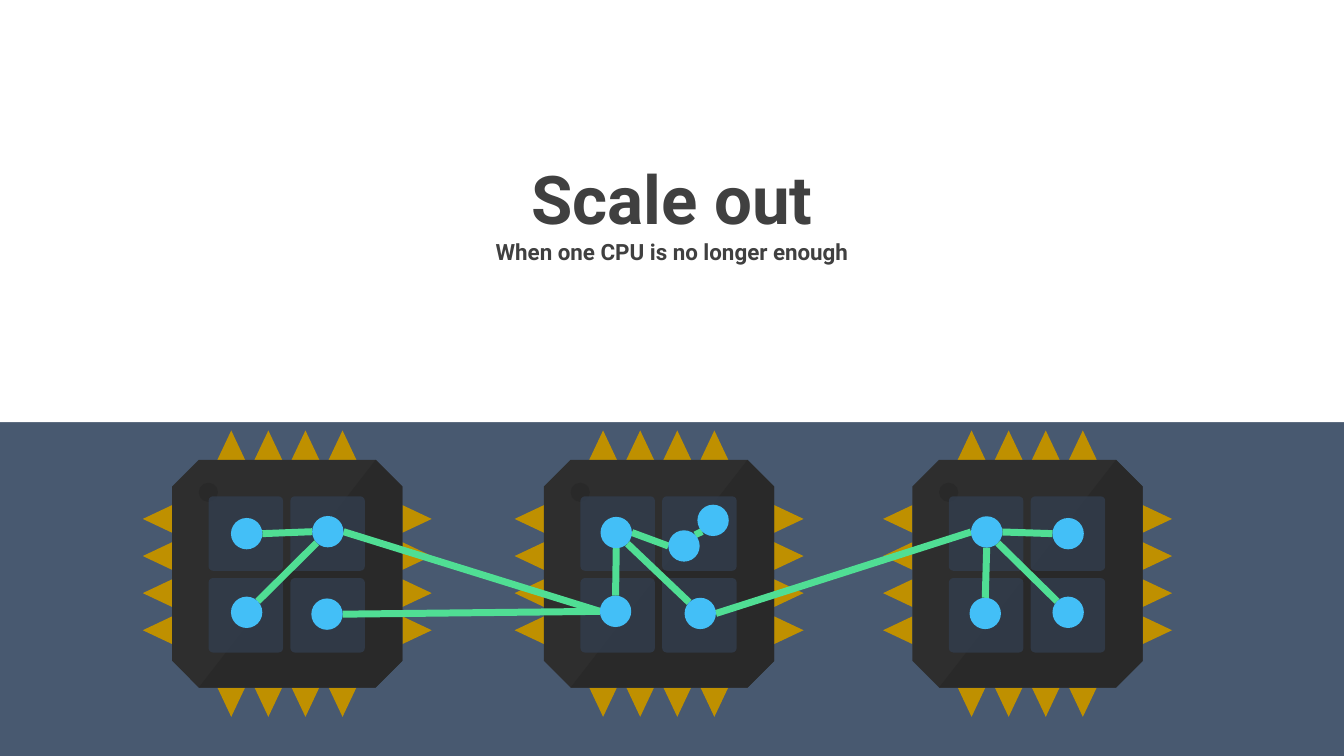
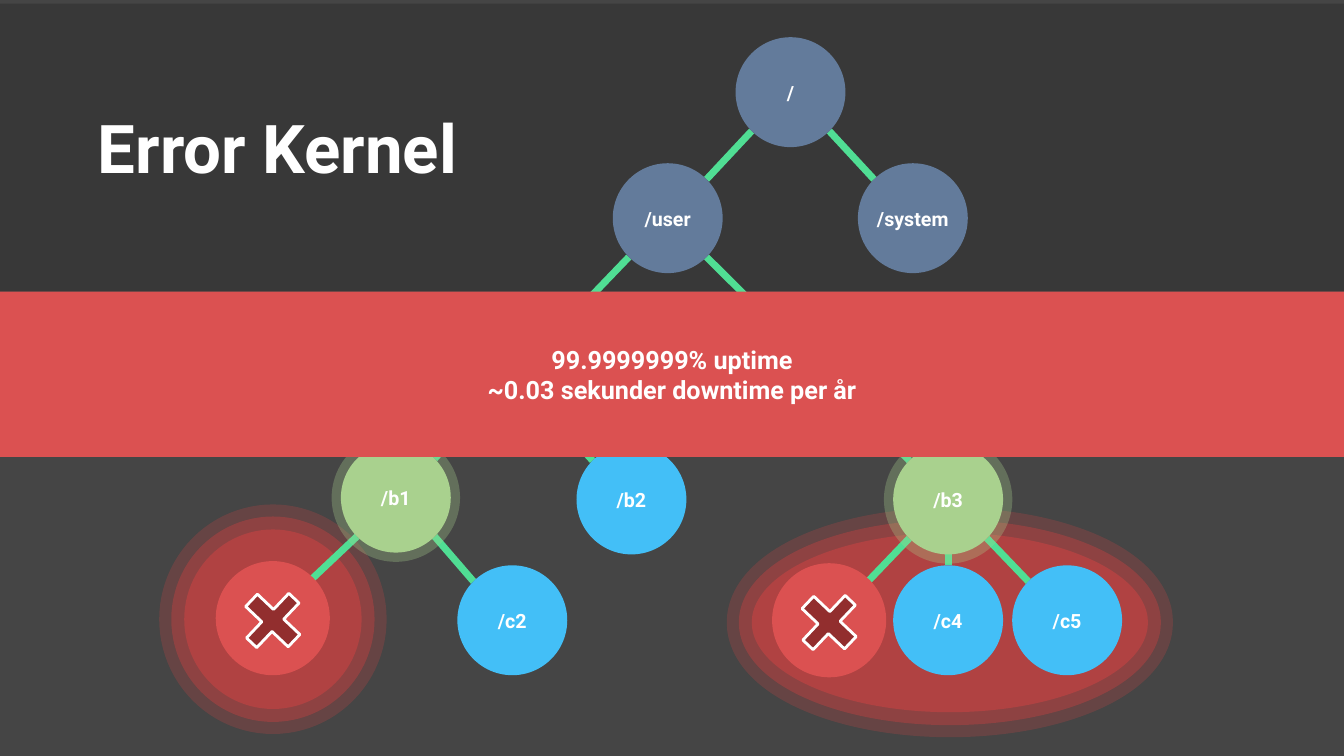
from dataclasses import dataclass
from math import sqrt
from typing import NamedTuple, Optional

from lxml.etree import SubElement
from pptx import Presentation
from pptx.dml.color import RGBColor
from pptx.enum.shapes import MSO_CONNECTOR as Connector, MSO_SHAPE as Preset
from pptx.enum.text import MSO_ANCHOR as Anchor, PP_ALIGN as Align
from pptx.oxml.ns import qn
from pptx.util import Pt

# Shared look
WIDTH, HEIGHT = 960, 540
WHITE, INK, SLATE, CHARCOAL = "FFFFFF", "404040", "485970", "454545"
GREEN, BLUE, STEEL, LIME = "50DE94", "43BFF7", "637B9B", "A9D18E"
RED, DARK_RED, CROSS_RED = "DB5151", "B04242", "922E2E"
GOLD, CHIP, SHADE, CORE = "BF9000", "2E2E2E", "292929", "333F50"
EDGE_WIDTH = 5
BASE_FONT = {"name": "Roboto", "bold": True}
TITLE = {**BASE_FONT, "size": Pt(48)}
SUBTITLE = {**BASE_FONT, "size": Pt(16)}
BANNER = {**BASE_FONT, "size": Pt(18)}
LABEL = {**BASE_FONT, "size": Pt(14)}

DIAGONAL = sqrt(0.5)
SIDES = {
    "N": (0, -1), "S": (0, 1), "W": (-1, 0), "E": (1, 0),
    "NW": (-DIAGONAL, -DIAGONAL), "NE": (DIAGONAL, -DIAGONAL),
    "SW": (-DIAGONAL, DIAGONAL), "SE": (DIAGONAL, DIAGONAL),
}


class Box(NamedTuple):
    left: float
    top: float
    width: float
    height: float


class Outline(NamedTuple):
    color: str
    width: float
    opacity: int = 100


class Span(NamedTuple):
    text: str
    style: dict


class Edge(NamedTuple):
    start: str
    start_side: str
    end: str
    end_side: str


@dataclass
class Node:
    left: float
    top: float
    size: float

    @property
    def box(self) -> Box:
        return Box(self.left, self.top, self.size, self.size)

    def site(self, side: str) -> tuple:
        """Point on the circle in a compass direction."""
        radius = self.size / 2
        across, down = SIDES[side]
        return (Pt(self.left + radius + radius * across),
                Pt(self.top + radius + radius * down))


# Drawing helpers
def rgb(color: str) -> RGBColor:
    return RGBColor.from_string(color)


def paint(fill, parent, color: str, opacity: int = 100) -> None:
    fill.solid()
    fill.fore_color.rgb = rgb(color)
    if opacity < 100:
        tint = parent.find(qn("a:solidFill"))[0]
        SubElement(tint, qn("a:alpha")).set("val", str(opacity * 1000))


def dress(shape, fill: Optional[str], opacity: int = 100,
          outline: Optional[Outline] = None) -> None:
    shape.shadow.inherit = False
    properties = shape._element.spPr
    if fill:
        paint(shape.fill, properties, fill, opacity)
    else:
        shape.fill.background()
    if outline:
        shape.line.width = Pt(outline.width)
        paint(shape.line.fill, properties.find(qn("a:ln")), outline.color, outline.opacity)
    else:
        shape.line.fill.background()


def add_preset(page, preset, box: Box, fill: Optional[str], opacity: int = 100,
               outline: Optional[Outline] = None, adjust: Optional[float] = None):
    shape = page.shapes.add_shape(preset, *map(Pt, box))
    dress(shape, fill, opacity, outline)
    if adjust is not None:
        shape.adjustments[0] = adjust
    return shape


def add_outlines(page, outlines: list, fill: str) -> None:
    """Draw closed polygons as one freeform."""
    contours = [[(Pt(x), Pt(y)) for x, y in points] for points in outlines]
    builder = page.shapes.build_freeform(*contours[0][0], scale=1.0)
    for index, (first, *rest) in enumerate(contours):
        if index:
            builder.move_to(*first)
        builder.add_line_segments(rest, close=True)
    dress(builder.convert_to_shape(), fill)


def write(shape, spans: list, color: str, align=Align.CENTER,
          anchor=Anchor.MIDDLE, wrap: bool = True) -> None:
    frame = shape.text_frame
    frame.word_wrap, frame.vertical_anchor = wrap, anchor
    para = frame.paragraphs[0]
    para.alignment = align
    for index, (text, style) in enumerate(spans):
        if index:
            para.add_line_break()
        span = para.add_run()
        span.text = text
        for name, value in style.items():
            setattr(span.font, name, value)
        span.font.color.rgb = rgb(color)


def add_edges(page, nodes: dict, edges: list) -> None:
    for edge in edges:
        line = page.shapes.add_connector(
            Connector.STRAIGHT, *nodes[edge.start].site(edge.start_side),
            *nodes[edge.end].site(edge.end_side))
        line.line.width = Pt(EDGE_WIDTH)
        line.line.color.rgb = rgb(GREEN)
        SubElement(line._element.spPr, qn("a:effectLst"))


def add_page(deck, background: str):
    page = deck.slides.add_slide(deck.slide_layouts[6])
    page.background.fill.solid()
    page.background.fill.fore_color.rgb = rgb(background)
    return page


# Slide 1: processors joined by a network
CPU_LEFTS = (123, 388.6, 651.8)
CPU_TOP, CPU_WIDTH, CPU_HEIGHT = 328.5, 164.4, 162.6
BEVEL = 19
PIN_FIRST, PIN_GAP, PIN_HALF, PIN_LENGTH = 42.2, 26.5, 9.9, 21
CORE_INSET, CORE_SIZE, CORE_GAP = 26, 53.2, 58.4
DOT = 22.4

DOTS = {
    "a1": Node(165, 370, DOT), "a2": Node(223, 368.6, DOT),
    "a3": Node(165, 426.2, DOT), "a4": Node(222.4, 427.5, DOT),
    "b1": Node(429, 369.2, DOT), "b2": Node(477.4, 378.8, DOT),
    "b3": Node(498.2, 360.5, DOT), "b4": Node(428.5, 425.5, DOT),
    "b5": Node(489, 427, DOT),
    "c1": Node(693.6, 368.8, DOT), "c2": Node(751.8, 370, DOT),
    "c3": Node(692.6, 427, DOT), "c4": Node(751.8, 426.2, DOT),
}
DOT_EDGES = [
    Edge("c1", "W", "b5", "E"), Edge("b4", "W", "a2", "E"),
    Edge("b4", "W", "a4", "E"), Edge("b1", "S", "b4", "N"),
    Edge("a2", "W", "a1", "E"), Edge("a2", "SW", "a3", "NE"),
    Edge("c1", "S", "c3", "N"), Edge("c1", "SE", "c4", "NW"),
    Edge("b1", "SE", "b5", "NW"), Edge("c1", "E", "c2", "W"),
    Edge("b2", "W", "b1", "E"), Edge("b2", "NE", "b3", "SW"),
]


def add_cpu(page, left: float) -> None:
    top, right, bottom = CPU_TOP, left + CPU_WIDTH, CPU_TOP + CPU_HEIGHT
    # Pins on all four sides
    pins = []
    for index in range(4):
        offset = PIN_FIRST + PIN_GAP * index
        x, y = left + offset, top + offset
        for base, tip in ((top, top - PIN_LENGTH), (bottom, bottom + PIN_LENGTH)):
            pins.append([(x - PIN_HALF, base), (x + PIN_HALF, base), (x, tip)])
        for base, tip in ((left, left - PIN_LENGTH), (right, right + PIN_LENGTH)):
            pins.append([(base, y - PIN_HALF), (base, y + PIN_HALF), (tip, y)])
    add_outlines(page, pins, GOLD)
    # Body with a shaded lower half
    add_preset(page, Preset.OCTAGON, Box(left, top, CPU_WIDTH, CPU_HEIGHT), CHIP,
               adjust=BEVEL / CPU_HEIGHT)
    add_outlines(page, [[(left + BEVEL, bottom), (right - BEVEL, top),
                         (right, top + BEVEL), (right, bottom - BEVEL),
                         (right - BEVEL, bottom)]], SHADE)
    add_preset(page, Preset.OVAL, Box(left + 19, top + 16.3, 13.7, 13.7), SHADE)
    # Four cores
    for row in range(2):
        for column in range(2):
            add_preset(page, Preset.ROUNDED_RECTANGLE,
                       Box(left + CORE_INSET + CORE_GAP * column,
                           top + CORE_INSET + CORE_GAP * row, CORE_SIZE, CORE_SIZE),
                       CORE, 75, adjust=0.06)


def build_scale_out(deck) -> None:
    page = add_page(deck, SLATE)
    for left in reversed(CPU_LEFTS):
        add_cpu(page, left)
    add_edges(page, DOTS, DOT_EDGES)
    for dot in DOTS.values():
        add_preset(page, Preset.OVAL, dot.box, BLUE)
    panel = add_preset(page, Preset.RECTANGLE, Box(0, 0, WIDTH, 301.5), WHITE)
    write(panel, [Span("Scale out", TITLE),
                  Span("When one CPU is no longer enough", SUBTITLE)], INK)


# Slide 2: supervision tree
BALL = 78.5
BALLS = {
    "/": Node(525.4, 26.6, BALL),
    "/user": Node(437.7, 116.6, BALL), "/system": Node(612.8, 116.6, BALL),
    "left joint": Node(326.9, 229.7, BALL), "right joint": Node(551.2, 229.7, BALL),
    "/b1": Node(243.5, 316.2, BALL), "/b2": Node(411.8, 317.5, BALL),
    "/b3": Node(638, 317.5, BALL),
    "left failure": Node(155.6, 402.3, BALL), "/c2": Node(326.7, 403.8, BALL),
    "right failure": Node(553, 403.8, BALL), "/c4": Node(638, 403.8, BALL),
    "/c5": Node(723, 403.8, BALL),
}
BALL_EDGES = [
    Edge("/", "SW", "/user", "NE"), Edge("/", "SE", "/system", "NW"),
    Edge("/user", "SW", "left joint", "NE"), Edge("/user", "SE", "right joint", "NW"),
    Edge("left joint", "SW", "/b1", "NE"), Edge("left joint", "SE", "/b2", "NW"),
    Edge("right joint", "SE", "/b3", "NW"),
    Edge("/b1", "SW", "left failure", "NE"), Edge("/b1", "SE", "/c2", "NW"),
    Edge("/b3", "SW", "right failure", "NE"), Edge("/b3", "S", "/c4", "N"),
    Edge("/b3", "SE", "/c5", "NW"),
]
BALL_COLORS = {"/c2": BLUE, "/b2": BLUE, "/c4": BLUE, "/c5": BLUE,
               "/user": STEEL, "/system": STEEL, "/": STEEL}
BLASTS = (Box(537, 380.5, 283, 128.2), Box(131.6, 378.2, 126.7, 128.2))


def add_ball(page, label: str, color: str, halo: Optional[Outline] = None) -> None:
    ball = add_preset(page, Preset.OVAL, BALLS[label].box, color, outline=halo)
    write(ball, [Span(label, LABEL)], WHITE, wrap=False)


def add_failure(page, node: Node) -> None:
    add_preset(page, Preset.OVAL, node.box, RED, outline=Outline(RED, 3))
    cross = add_preset(page, Preset.CROSS, Box(node.left + 17.3, node.top + 20, 43.9, 41.8),
                       CROSS_RED, outline=Outline(WHITE, 2), adjust=0.38)
    cross.rotation = 313.5


def build_error_kernel(deck) -> None:
    page = add_page(deck, CHARCOAL)
    # Blast areas and header strip
    for blast in BLASTS:
        add_preset(page, Preset.OVAL, blast, DARK_RED, outline=Outline(DARK_RED, 18.5, 54))
        add_preset(page, Preset.OVAL, blast, None, outline=Outline(DARK_RED, 35.75, 31))
    add_preset(page, Preset.RECTANGLE, Box(0, 2.6, WIDTH, 205.5), "262626", 40)
    # Tree
    add_edges(page, BALLS, BALL_EDGES)
    for label, color in BALL_COLORS.items():
        add_ball(page, label, color)
    for name in ("left failure", "right failure"):
        add_failure(page, BALLS[name])
    for label in ("/b1", "/b3"):
        add_ball(page, label, LIME, Outline(LIME, 13.25, 30))
    # Title and banner
    title = page.shapes.add_textbox(*map(Pt, Box(62.8, 72.6, 298.8, 65.4)))
    write(title, [Span("Error Kernel", TITLE)], WHITE, Align.LEFT, Anchor.TOP)
    banner = add_preset(page, Preset.RECTANGLE, Box(0, 208.3, WIDTH, 118), RED)
    write(banner, [Span("99.9999999% uptime", BANNER),
                   Span("~0.03 sekunder downtime per år", BANNER)], WHITE)


def main() -> None:
    deck = Presentation()
    deck.slide_width, deck.slide_height = Pt(WIDTH), Pt(HEIGHT)
    build_scale_out(deck)
    build_error_kernel(deck)
    deck.save("out.pptx")


if __name__ == "__main__":
    main()
